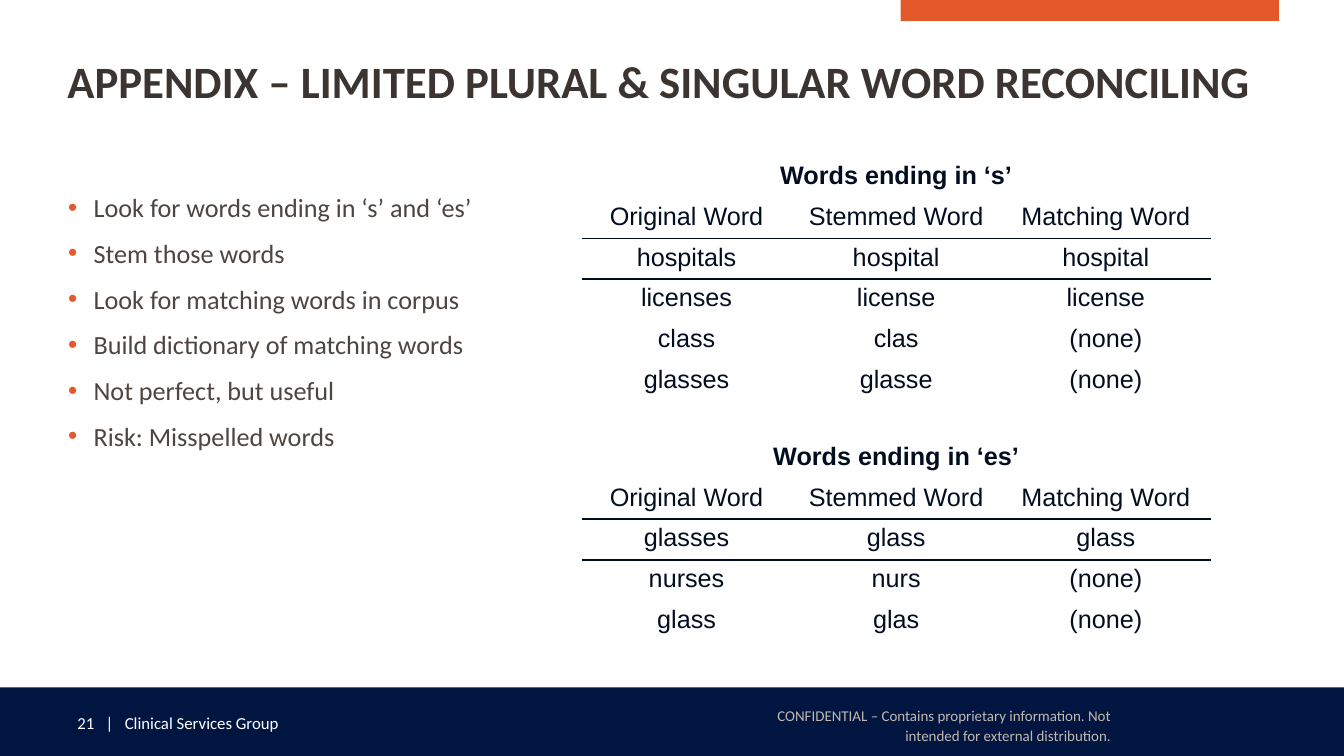
from lxml.etree import SubElement
from pptx import Presentation
from pptx.dml.color import RGBColor
from pptx.enum.shapes import MSO_SHAPE as Shape
from pptx.enum.text import MSO_ANCHOR as Anchor, PP_ALIGN as Align
from pptx.oxml import parse_xml
from pptx.oxml.ns import nsdecls, qn
from pptx.util import Cm, Pt

ORANGE = RGBColor(0xE3, 0x59, 0x29)
NAVY = RGBColor(0x00, 0x16, 0x41)
WHITE = RGBColor(0xFF, 0xFF, 0xFF)
TAUPE = RGBColor(0xC2, 0xB8, 0xAF)
TITLE_BROWN = RGBColor(0x3B, 0x34, 0x30)
BODY_BROWN = RGBColor(0x4E, 0x45, 0x40)
INK = RGBColor(0x02, 0x0E, 0x20)

PLAIN_TABLE_STYLE = "{2D5ABB26-0587-4C30-8999-92F81FD0307C}"
SLIDE_WIDTH, SLIDE_HEIGHT = Cm(33.87), Cm(19.05)
ROW_HEIGHT = Cm(1.03)
HEADINGS = ("Original Word", "Stemmed Word", "Matching Word")

STEPS = (
    "Look for words ending in ‘s’ and ‘es’",
    "Stem those words",
    "Look for matching words in corpus",
    "Build dictionary of matching words",
    "Not perfect, but useful",
    "Risk: Misspelled words",
)
S_WORDS = (
    ("hospitals", "hospital", "hospital"),
    ("licenses", "license", "license"),
    ("class", "clas", "(none)"),
    ("glasses", "glasse", "(none)"),
)
ES_WORDS = (
    ("glasses", "glass", "glass"),
    ("nurses", "nurs", "(none)"),
    ("glass", "glas", "(none)"),
)


def apply(target, formats):
    for attribute, value in formats.items():
        setattr(target, attribute, value)


def write(paragraph, text, size, color, name="Calibri", bold=False, **layout):
    run = paragraph.add_run()
    run.text = text
    apply(run.font, {"size": Pt(size), "name": name, "bold": bold})
    run.font.color.rgb = color
    apply(paragraph, layout)


def add_band(slide, color, left, top, width, height):
    band = slide.shapes.add_shape(Shape.RECTANGLE, left, top, width, height)
    band.shadow.inherit = False
    band.fill.solid()
    band.fill.fore_color.rgb = color
    band.line.fill.background()


def add_frame(slide, left, top, width, height, **formats):
    frame = slide.shapes.add_textbox(left, top, width, height).text_frame
    apply(frame, {"word_wrap": True, **formats})
    return frame


def add_footer(slide, left, top, width, height):
    add_band(slide, NAVY, left, top, width, height)
    group = add_frame(slide, left + Cm(1.7), top + Cm(0.51), Cm(11.23), Cm(0.76))
    write(group.paragraphs[0], "21   |   Clinical Services Group", 12, WHITE)
    notice = add_frame(slide, left + Cm(18.8), top - Cm(0.2), Cm(9.53), Cm(2.29),
                       vertical_anchor=Anchor.MIDDLE,
                       margin_left=Cm(0.33), margin_right=Cm(0.33),
                       margin_top=Cm(0.18), margin_bottom=Cm(0.18))
    write(notice.paragraphs[0],
          "CONFIDENTIAL – Contains proprietary information. "
          "Not intended for external distribution.",
          10.7, TAUPE, alignment=Align.RIGHT, line_spacing=1.1)


def add_title(slide, left, top, width, height):
    title = add_frame(slide, left, top, width, height,
                      vertical_anchor=Anchor.MIDDLE, margin_left=0)
    write(title.paragraphs[0],
          "APPENDIX – LIMITED PLURAL & SINGULAR WORD RECONCILING",
          32, TITLE_BROWN, bold=True)


def add_steps(slide, left, top, width, height):
    frame = add_frame(slide, left, top, width, height)
    for index, step in enumerate(STEPS):
        paragraph = frame.add_paragraph() if index else frame.paragraphs[0]
        write(paragraph, step, 18.7, BODY_BROWN,
              line_spacing=1.1, space_after=Pt(8))
        # Orange bullet with a hanging indent
        properties = paragraph._p.get_or_add_pPr()
        properties.set("marL", str(Cm(0.64)))
        properties.set("indent", str(-Cm(0.64)))
        bullet_color = SubElement(properties, qn("a:buClr"))
        SubElement(bullet_color, qn("a:srgbClr"), val=str(ORANGE))
        SubElement(properties, qn("a:buFont"), typeface="Arial")
        SubElement(properties, qn("a:buChar"), char="•")


def underline(cell):
    cell._tc.get_or_add_tcPr().insert(0, parse_xml(
        f'<a:lnB {nsdecls("a")} w="{Pt(1)}"><a:solidFill>'
        f'<a:srgbClr val="{INK}"/></a:solidFill></a:lnB>'))


def add_word_table(slide, caption, words, left, top, width):
    rows = ((caption, "", ""), HEADINGS, *words)
    table = slide.shapes.add_table(len(rows), len(HEADINGS), left, top,
                                   width, ROW_HEIGHT * len(rows)).table
    apply(table, {"first_row": False, "horz_banding": False})
    table._tbl.tblPr.find(qn("a:tableStyleId")).text = PLAIN_TABLE_STYLE
    table.cell(0, 0).merge(table.cell(0, len(HEADINGS) - 1))
    for row_index, row in enumerate(rows):
        for column_index, word in enumerate(row):
            cell = table.cell(row_index, column_index)
            cell.fill.background()
            if word:
                write(cell.text_frame.paragraphs[0], word, 18, INK, "Arial",
                      bold=row_index == 0, alignment=Align.CENTER)
            # Rules below the headings and the first word
            if row_index in (1, 2):
                underline(cell)


def main():
    deck = Presentation()
    apply(deck, {"slide_width": SLIDE_WIDTH, "slide_height": SLIDE_HEIGHT})
    slide = deck.slides.add_slide(deck.slide_layouts[6])

    # Page furniture
    add_band(slide, ORANGE, Cm(22.7), 0, Cm(9.53), Cm(0.53))
    footer_top = Cm(17.32)
    add_footer(slide, 0, footer_top, SLIDE_WIDTH, SLIDE_HEIGHT - footer_top)

    # Content
    add_title(slide, Cm(1.7), Cm(0.91), Cm(30.48), Cm(2.26))
    add_steps(slide, Cm(1.47), Cm(4.62), Cm(30.48), Cm(11))
    for caption, words, top in (
        ("Words ending in ‘s’", S_WORDS, Cm(3.94)),
        ("Words ending in ‘es’", ES_WORDS, Cm(11.02)),
    ):
        add_word_table(slide, caption, words, Cm(14.66), top, Cm(15.85))

    deck.save("out.pptx")


if __name__ == "__main__":
    main()
